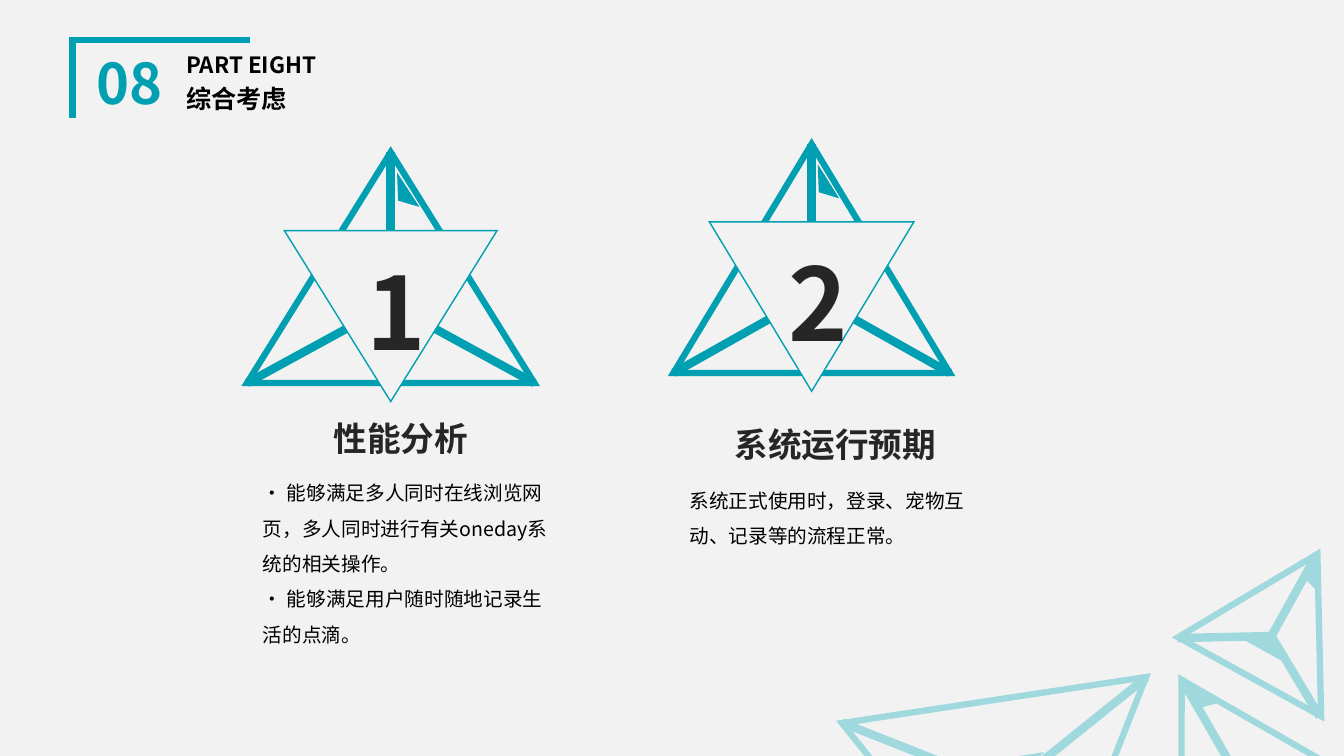
from dataclasses import dataclass

import pptx
import pptx.util
import pptx.dml.color
import pptx.enum.dml
import pptx.enum.shapes
import pptx.enum.text
import pptx.oxml.ns
from lxml import etree

Inches = pptx.util.Inches
Pt = pptx.util.Pt
qn = pptx.oxml.ns.qn
ALIGN = pptx.enum.text.PP_ALIGN
ANCHOR = pptx.enum.text.MSO_ANCHOR


@dataclass(frozen=True)
class Theme:
    font: str = "Noto Sans CJK SC"
    paper: str = "F2F2F2"
    teal: str = "009FB1"
    pale: str = "9FD9DE"
    dark: str = "262626"
    black: str = "000000"
    digit: int = 72
    section: int = 40
    heading: int = 24
    title: int = 18
    label: int = 16
    body: int = 14
    frame: float = 4.5
    spoke: float = 6
    thin: float = 1


THEME = Theme()


def rgb(color):
    return pptx.dml.color.RGBColor.from_string(color)


def paint(shape, fill=None, line=None, weight=THEME.thin):
    """Set fill and outline, with sharp corners and no shadow."""
    shape.shadow.inherit = False
    if fill:
        shape.fill.solid()
        shape.fill.fore_color.rgb = rgb(fill)
    else:
        shape.fill.background()
    if line:
        shape.line.color.rgb = rgb(line)
        shape.line.width = Pt(weight)
        outline = shape.line.fill._xPr
        etree.SubElement(outline, qn("a:miter"), lim="800000")
    else:
        shape.line.fill.background()


def add_triangle(slide, box, fill, line, weight, rotation=0):
    triangle = slide.shapes.add_shape(
        pptx.enum.shapes.MSO_SHAPE.ISOSCELES_TRIANGLE, *map(Inches, box))
    triangle.rotation = rotation
    paint(triangle, fill, line, weight)


def add_outline(slide, points, closed=True, **style):
    corners = [(Inches(x), Inches(y)) for x, y in points]
    builder = slide.shapes.build_freeform(*corners[0])
    builder.add_line_segments(corners[1:], close=closed)
    paint(builder.convert_to_shape(), **style)


def add_spoke(slide, start, end, color):
    spoke = slide.shapes.add_connector(
        pptx.enum.shapes.MSO_CONNECTOR.STRAIGHT, *map(Inches, (*start, *end)))
    spoke.line.color.rgb = rgb(color)
    spoke.line.width = Pt(THEME.spoke)
    etree.SubElement(spoke._element.spPr, qn("a:effectLst"))


def add_text(slide, box, lines, size, color, bold=True, align=ALIGN.LEFT,
             anchor=ANCHOR.TOP, wrap=True, spacing=1.0):
    frame = slide.shapes.add_textbox(*map(Inches, box)).text_frame
    frame.word_wrap = wrap
    frame.vertical_anchor = anchor
    frame.text = "\n".join(lines)
    for paragraph in frame.paragraphs:
        paragraph.alignment = align
        paragraph.line_spacing = spacing
        for run in paragraph.runs:
            run.font.size = Pt(size)
            run.font.bold = bold
            run.font.color.rgb = rgb(color)
            run.font.name = THEME.font
            etree.SubElement(run.font._element, qn("a:ea"), typeface=THEME.font)


def add_emblem(slide, left, top, width, height, digit):
    """Pyramid with a numbered, inverted triangle; parts scale with its box."""
    def at(x, y):
        return left + x * width, top + y * height

    def part(x, y, w, h):
        return (*at(x, y), w * width, h * height)

    add_triangle(slide, part(0, 0, 1, 1), THEME.paper, THEME.teal, THEME.frame)
    for corner in ((0.5, 0), (0, 1), (1, 1)):
        add_spoke(slide, at(*corner), at(0.5, 0.66), THEME.teal)
    glint = [at(0.526, 0.21), at(0.6, 0.237), at(0.522, 0.088)]
    add_outline(slide, glint, fill=THEME.teal)
    add_triangle(slide, part(0.13, 0.34, 0.74, 0.74), THEME.paper, THEME.teal,
                 THEME.thin, 180)
    add_text(slide, part(0.38, 0.4, 0.24, 0.45), [digit], THEME.digit,
             THEME.dark, align=ALIGN.CENTER, wrap=False)


def add_corner_pyramid(slide, box, rotation, hub, corners, foot=None, glint=None):
    """Pale tilted pyramid whose spokes meet at the hub."""
    add_triangle(slide, box, THEME.paper, THEME.pale, THEME.frame, rotation)
    for corner in corners:
        add_spoke(slide, corner, hub, THEME.pale)
    if foot:
        add_triangle(slide, foot, THEME.pale, THEME.pale, THEME.thin, rotation)
    if glint:
        add_outline(slide, glint, fill=THEME.pale, line=THEME.pale)


def add_header(slide):
    add_outline(slide, [(0.72, 1.17), (0.72, 0.4), (2.48, 0.4)], closed=False,
                line=THEME.teal, weight=THEME.frame)
    placed = {"anchor": ANCHOR.MIDDLE, "spacing": 0.9}
    add_text(slide, (0.82, 0.49, 0.93, 0.73), ["08"], THEME.section, THEME.teal,
             align=ALIGN.CENTER, **placed)
    add_text(slide, (1.75, 0.49, 2.67, 0.34), ["PART EIGHT"], THEME.label,
             THEME.black, **placed)
    add_text(slide, (1.75, 0.78, 2.67, 0.44), ["综合考虑"], THEME.title,
             THEME.black, **placed)


def add_topic(slide, emblem, digit, heading_box, heading, body_box, body):
    add_text(slide, heading_box, [heading], THEME.heading, THEME.dark,
             align=ALIGN.CENTER, wrap=False)
    add_text(slide, body_box, body, THEME.body, THEME.black, bold=False,
             spacing=1.5)
    add_emblem(slide, *emblem, digit)


def main():
    deck = pptx.Presentation()
    deck.slide_width, deck.slide_height = Inches(13.33), Inches(7.5)
    slide = deck.slides.add_slide(deck.slide_layouts[6])
    slide.background.fill.solid()
    slide.background.fill.fore_color.rgb = rgb(THEME.paper)

    # Pyramids in the lower right corner
    add_corner_pyramid(slide, (8.53, 6.93, 3.05, 2.63), 171.4, (10, 7.82),
                       [(11.37, 6.72), (8.35, 7.17)],
                       foot=(9.57, 7.53, 0.79, 0.24))
    add_corner_pyramid(slide, (11.16, 6.63, 1.97, 1.7), 330, (12.28, 7.71),
                       [(11.72, 6.74)],
                       glint=[(11.92, 7.01), (12.07, 6.97), (11.81, 6.82)])
    add_corner_pyramid(slide, (11.92, 5.41, 1.62, 1.39), 28.9, (12.61, 6.31),
                       [(13.06, 5.5), (11.68, 6.33), (13.09, 7.11)],
                       foot=(12.36, 6.33, 0.42, 0.13),
                       glint=[(12.96, 5.75), (13.05, 5.84), (13.04, 5.6)])

    # Section header
    add_header(slide)

    # The two topics
    add_topic(slide, (2.45, 1.51, 2.85, 2.29), "1",
              (3.2, 4.1, 1.55, 0.5), "性能分析", (2.51, 4.61, 3.03, 1.83),
              ["· 能够满足多人同时在线浏览网页，多人同时进行有关oneday系统的相关操作。",
               "· 能够满足用户随时随地记录生活的点滴。"])
    add_topic(slide, (6.68, 1.43, 2.74, 2.27), "2",
              (7.15, 4.16, 2.27, 0.5), "系统运行预期", (6.74, 4.68, 3.03, 0.77),
              ["系统正式使用时，登录、宠物互动、记录等的流程正常。"])

    deck.save("out.pptx")


if __name__ == "__main__":
    main()
